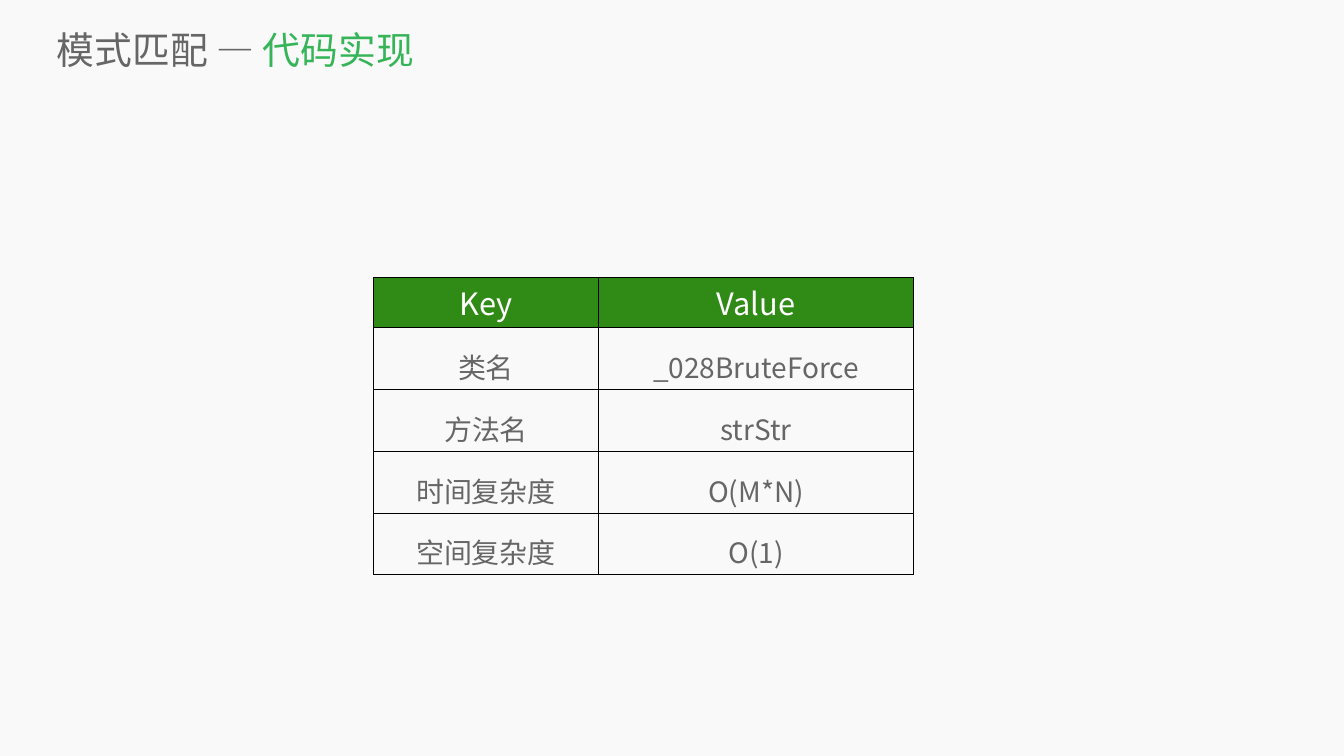
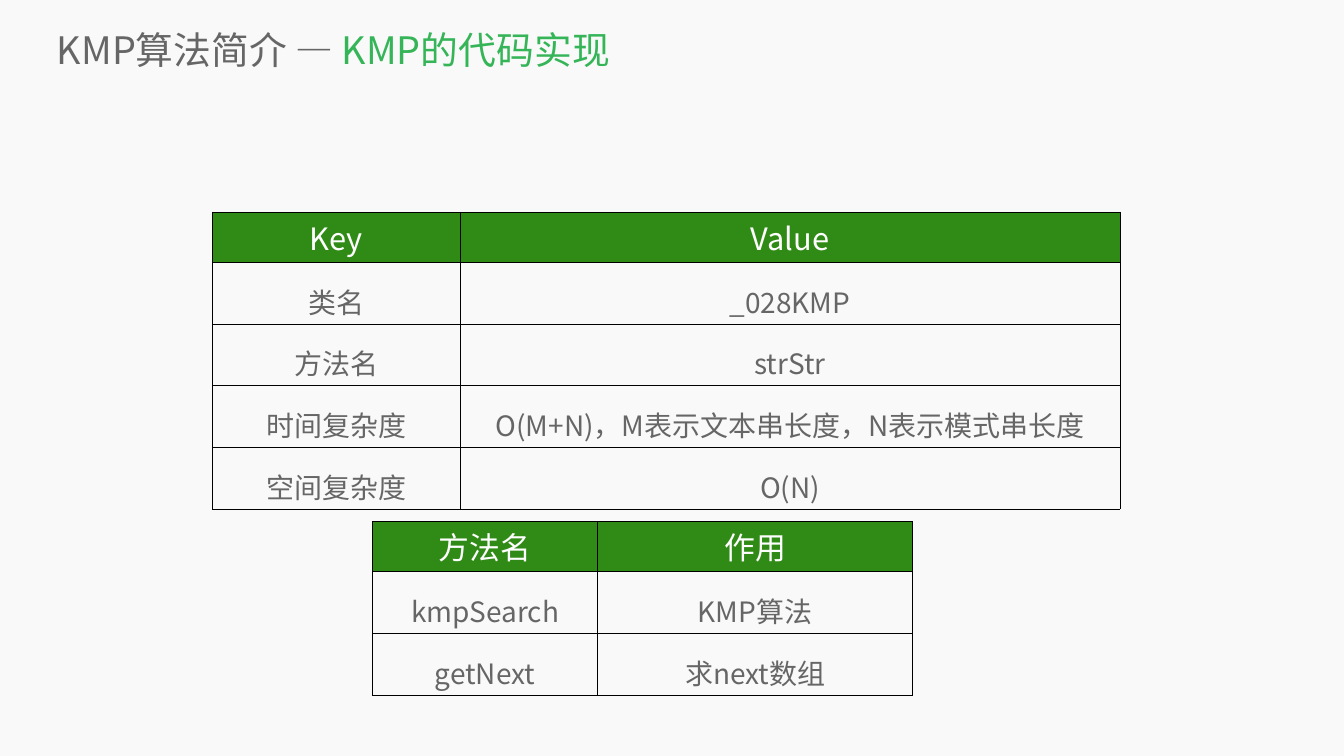
import pptx
import pptx.util
import pptx.dml.color
import pptx.enum.text
import pptx.oxml
import pptx.oxml.ns
import lxml.etree
from dataclasses import dataclass


@dataclass(frozen=True)
class Theme:
    font: str = "Noto Sans CJK SC"
    background: str = "F9F9F9"
    text: str = "666666"
    accent: str = "35B558"
    header_fill: str = "308B16"
    header_text: str = "FFFFFF"
    border: str = "000000"
    title_size: int = 54
    header_size: int = 44
    body_size: int = 40


theme = Theme()
rgb = pptx.dml.color.RGBColor.from_string
qn = pptx.oxml.ns.qn

deck = pptx.Presentation()
deck.slide_width = pptx.util.Inches(26.67)
deck.slide_height = pptx.util.Inches(15)

# Lengths are percentages of the slide's width and height
across = deck.slide_width / 100
down = deck.slide_height / 100
HEADER_ROW, BODY_ROW = 6.6, 8.17


def add_text(paragraph, text, size=theme.body_size, color=theme.text, align=None, spacing=None):
    """Add one formatted run to a paragraph."""
    run = paragraph.add_run()
    run.text = text
    run.font.size = pptx.util.Pt(size)
    run.font.name = theme.font
    run.font.color.rgb = rgb(color)
    east_asian = lxml.etree.SubElement(run.font._element, qn("a:ea"))
    east_asian.set("typeface", theme.font)
    if align is not None:
        paragraph.alignment = align
    if spacing is not None:
        paragraph.line_spacing = spacing


def add_borders(cell):
    """Draw a thin line on all four sides of a cell."""
    properties = cell._tc.get_or_add_tcPr()
    for side in ("lnL", "lnR", "lnT", "lnB"):
        line = lxml.etree.SubElement(properties, qn(f"a:{side}"), w=str(pptx.util.Pt(1)))
        fill = lxml.etree.SubElement(line, qn("a:solidFill"))
        lxml.etree.SubElement(fill, qn("a:srgbClr"), val=theme.border)


# Content: title halves, then tables as (left, top, column widths, rows)
slides = [
    ("模式匹配 — ", "代码实现", [
        (27.78, 36.73, (16.76, 23.43), [
            ("Key", "Value"),
            ("类名", "_028BruteForce"),
            ("方法名", "strStr"),
            ("时间复杂度", "O(M*N)"),
            ("空间复杂度", "O(1)"),
        ]),
    ]),
    ("KMP算法简介 — ", "KMP的代码实现", [
        (27.71, 69, (16.76, 23.43), [
            ("方法名", "作用"),
            ("kmpSearch", "KMP算法"),
            ("getNext", "求next数组"),
        ]),
        (15.82, 28.07, (18.41, 49.1), [
            ("Key", "Value"),
            ("类名", "_028KMP"),
            ("方法名", "strStr"),
            ("时间复杂度", "O(M+N)，M表示文本串长度，N表示模式串长度"),
            ("空间复杂度", "O(N)"),
        ]),
    ]),
]

for topic, subtopic, tables in slides:
    slide = deck.slides.add_slide(deck.slide_layouts[6])
    slide.background.fill.solid()
    slide.background.fill.fore_color.rgb = rgb(theme.background)

    # Title: grey topic, green subtopic
    title = slide.shapes.add_textbox(
        int(4.24 * across), int(3.13 * down), int(94.34 * across), int(6.8 * down)).text_frame
    title.word_wrap = True
    title.vertical_anchor = pptx.enum.text.MSO_ANCHOR.MIDDLE
    title.margin_left = title.margin_right = title.margin_top = title.margin_bottom = 0
    add_text(title.paragraphs[0], topic, size=theme.title_size)
    add_text(title.paragraphs[0], subtopic, size=theme.title_size, color=theme.accent)

    # Tables: green header row above unfilled body rows
    for left, top, widths, rows in tables:
        height = HEADER_ROW + BODY_ROW * (len(rows) - 1)
        grid = slide.shapes.add_table(
            len(rows), len(widths), int(left * across), int(top * down),
            int(sum(widths) * across), int(height * down)).table
        grid.horz_banding = False
        for column, width in zip(grid.columns, widths):
            column.width = int(width * across)

        for r, entries in enumerate(rows):
            is_header = r == 0
            grid.rows[r].height = int((HEADER_ROW if is_header else BODY_ROW) * down)
            for c, entry in enumerate(entries):
                cell = grid.cell(r, c)
                add_borders(cell)
                if is_header:
                    cell.fill.solid()
                    cell.fill.fore_color.rgb = rgb(theme.header_fill)
                else:
                    cell.fill.background()
                add_text(
                    cell.text_frame.paragraphs[0], entry,
                    size=theme.header_size if is_header else theme.body_size,
                    color=theme.header_text if is_header else theme.text,
                    align=pptx.enum.text.PP_ALIGN.CENTER,
                    spacing=None if is_header else 1.4)

deck.save("out.pptx")
